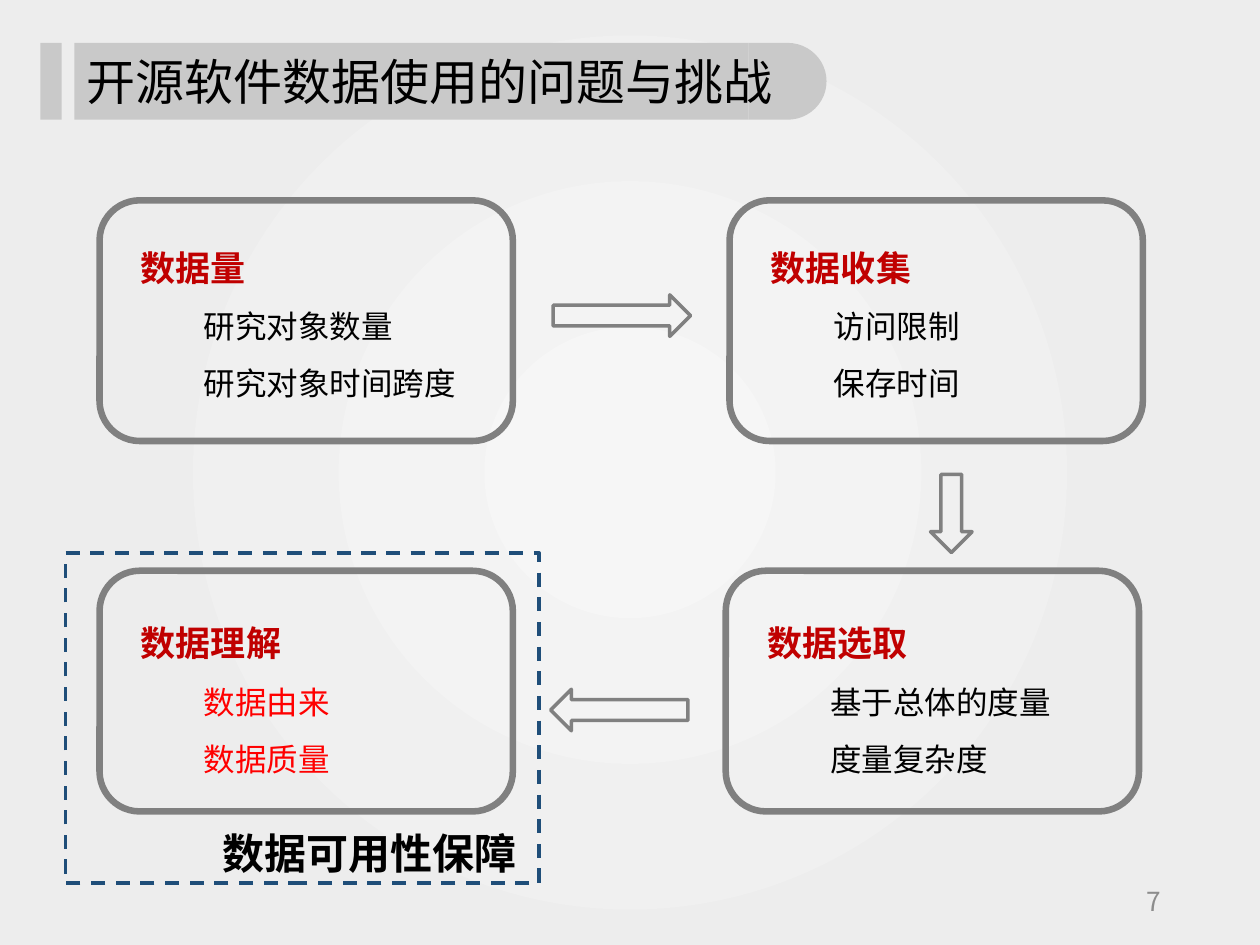
from dataclasses import dataclass

from lxml import etree
from pptx import Presentation
from pptx.dml.color import RGBColor
from pptx.enum.dml import MSO_LINE
from pptx.enum.shapes import MSO_SHAPE
from pptx.enum.text import MSO_ANCHOR, PP_ALIGN
from pptx.oxml import parse_xml
from pptx.oxml.ns import nsdecls, qn
from pptx.util import Inches, Pt

RECT = MSO_SHAPE.RECTANGLE
ROUNDED = MSO_SHAPE.ROUNDED_RECTANGLE
DELAY = MSO_SHAPE.FLOWCHART_DELAY
ARROW = MSO_SHAPE.RIGHT_ARROW
DASH = MSO_LINE.DASH
MIDDLE = MSO_ANCHOR.MIDDLE
LEFT, RIGHT = PP_ALIGN.LEFT, PP_ALIGN.RIGHT

FONT = "Noto Sans CJK SC"
BLACK = RGBColor(0x00, 0x00, 0x00)
GREY = RGBColor(0x80, 0x80, 0x80)
PAGE_GREY = RGBColor(0x8C, 0x8C, 0x8C)
BAR_GREY = RGBColor(0xC9, 0xC9, 0xC9)
DARK_RED = RGBColor(0xC0, 0x00, 0x00)
RED = RGBColor(0xFF, 0x00, 0x00)
NAVY = RGBColor(0x1F, 0x4E, 0x79)
BACKGROUND_STOPS = ((0, "F6F6F6"), (74, "EDEDED"), (83, "EDEDED"), (100, "EDEDED"))


@dataclass
class Card:
    left: float
    top: float
    text_top: float
    heading: str
    items: tuple[str, ...]
    color: RGBColor = BLACK


@dataclass
class FlowArrow:
    left: float
    top: float
    width: float
    rotation: int


CARDS = (
    Card(0.79, 1.59, 1.74, "数据量", ("研究对象数量", "研究对象时间跨度")),
    Card(5.79, 1.59, 1.74, "数据收集", ("访问限制", "保存时间")),
    Card(5.76, 4.53, 4.72, "数据选取", ("基于总体的度量", "度量复杂度")),
    Card(0.79, 4.53, 4.72, "数据理解", ("数据由来", "数据质量"), RED),
)
ARROWS = (
    FlowArrow(4.39, 2.34, 1.09, 0),
    FlowArrow(7.24, 3.91, 0.62, 90),
    FlowArrow(4.37, 5.47, 1.09, 180),
)
TITLE_BARS = ((DELAY, 5.94, 0.62), (RECT, 0.59, 5.35), (RECT, 0.32, 0.17))


def set_background(s) -> None:
    stops = "".join(
        f'<a:gs pos="{pos * 1000}"><a:srgbClr val="{color}"/></a:gs>'
        for pos, color in BACKGROUND_STOPS
    )
    bg = parse_xml(
        f'<p:bg {nsdecls("p", "a")}><p:bgPr><a:gradFill><a:gsLst>{stops}</a:gsLst>'
        '<a:path path="circle"><a:fillToRect l="50000" t="50000" r="50000" b="50000"/>'
        "</a:path></a:gradFill><a:effectLst/></p:bgPr></p:bg>"
    )
    s.element.cSld.insert(0, bg)


def format_paragraph(p, size: float, color: RGBColor, bold: bool = False) -> None:
    p.font.size = Pt(size)
    p.font.bold = bold
    p.font.color.rgb = color
    p.font.name = FONT
    ea = etree.SubElement(p._p.pPr.find(qn("a:defRPr")), qn("a:ea"))
    ea.set("typeface", FONT)


def add_bar(s, kind, left: float, width: float) -> None:
    sp = s.shapes.add_shape(kind, Inches(left), Inches(0.34), Inches(width), Inches(0.61))
    sp.shadow.inherit = False
    sp.fill.solid()
    sp.fill.fore_color.rgb = BAR_GREY
    sp.line.fill.background()


def add_outline(s, kind, left: float, top: float, width: float, height: float,
                color: RGBColor, weight: float):
    sp = s.shapes.add_shape(kind, Inches(left), Inches(top), Inches(width), Inches(height))
    sp.shadow.inherit = False
    sp.fill.background()
    sp.line.color.rgb = color
    sp.line.width = Pt(weight)
    return sp


def add_text(s, left: float, top: float, width: float, height: float, text: str,
             size: float, color: RGBColor, bold: bool = False):
    box = s.shapes.add_textbox(Inches(left), Inches(top), Inches(width), Inches(height))
    tf = box.text_frame
    tf.word_wrap = True
    p = tf.paragraphs[0]
    p.text = text
    format_paragraph(p, size, color, bold)
    return tf


def add_card(s, card: Card) -> None:
    add_outline(s, ROUNDED, card.left, card.top, 3.28, 1.91, GREY, 3.75)
    tf = add_text(s, card.left + 0.23, card.text_top, 2.76, 1.51,
                  card.heading, 20, DARK_RED, True)
    for item in card.items:
        p = tf.add_paragraph()
        p.text = item
        p.level = 1
        p._p.get_or_add_pPr().set("marL", str(Inches(0.5)))
        format_paragraph(p, 18, card.color)
    for p in tf.paragraphs:
        p.line_spacing = 1.5


def add_title(s, text: str) -> None:
    for kind, left, width in TITLE_BARS:
        add_bar(s, kind, left, width)
    title = s.shapes.title
    title.left, title.top = Inches(0.59), Inches(0.36)
    title.width, title.height = Inches(5.97), Inches(0.63)
    s.shapes._spTree.append(title._element)
    tf = title.text_frame
    tf.vertical_anchor = MIDDLE
    p = tf.paragraphs[0]
    p.text = text
    p.alignment = LEFT
    p.line_spacing = 0.9
    format_paragraph(p, 28, BLACK)


def main() -> None:
    prs = Presentation()
    prs.slide_width, prs.slide_height = Inches(10), Inches(7.5)
    s = prs.slides.add_slide(prs.slide_layouts[5])
    set_background(s)
    add_title(s, "开源软件数据使用的问题与挑战")
    for card in CARDS:
        add_card(s, card)
    for arrow in ARROWS:
        sp = add_outline(s, ARROW, arrow.left, arrow.top, arrow.width, 0.33, GREY, 2)
        sp.rotation = arrow.rotation
    frame = add_outline(s, RECT, 0.52, 4.39, 3.76, 2.62, NAVY, 2)
    frame.line.dash_style = DASH
    add_text(s, 1.67, 6.52, 2.69, 0.5, "数据可用性保障", 24, BLACK, True)
    tf = add_text(s, 7.06, 6.95, 2.25, 0.4, "7", 15, PAGE_GREY)
    tf.vertical_anchor = MIDDLE
    tf.paragraphs[0].alignment = RIGHT
    prs.save("out.pptx")


if __name__ == "__main__":
    main()
